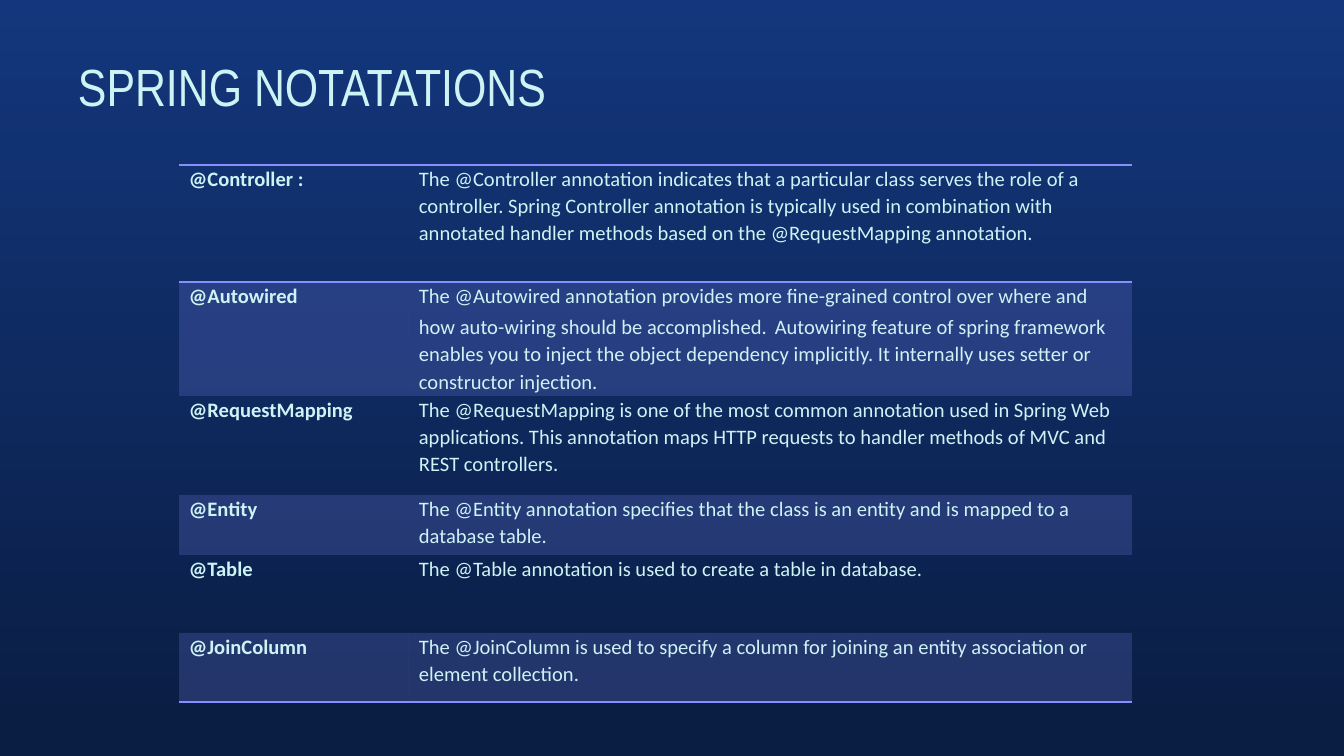
from dataclasses import dataclass
from lxml.etree import SubElement
from pptx import Presentation
from pptx.dml.color import RGBColor
from pptx.enum.text import MSO_ANCHOR, PP_ALIGN
from pptx.oxml.ns import qn
from pptx.util import Emu, Pt

TITLE = "SPRING NOTATATIONS"
ANNOTATIONS = [
    ("@Controller :", ["The @Controller annotation indicates that a particular class serves the role of a controller. Spring Controller annotation is typically used in combination with annotated handler methods based on the @RequestMapping annotation."]),
    ("@Autowired", ["The @Autowired annotation provides more fine-grained control over where and how auto-wiring should be accomplished.", "Autowiring feature of spring framework enables you to inject the object dependency implicitly. It internally uses setter or constructor injection."]),
    ("@RequestMapping", ["The @RequestMapping is one of the most common annotation used in Spring Web applications. This annotation maps HTTP requests to handler methods of MVC and REST controllers."]),
    ("@Entity", ["The @Entity annotation specifies that the class is an entity and is mapped to a database table."]),
    ("@Table", ["The @Table annotation is used to create a table in database."]),
    ("@JoinColumn", ["The @JoinColumn is used to specify a column for joining an entity association or element collection."]),
]
ROW_HEIGHTS = [117, 114, 99, 60, 78, 69]
COLUMN_WIDTHS = [230, 723]


@dataclass(frozen=True)
class Theme:
    text: str = "CEF3F5"
    accent: str = "878FFF"
    gradient: tuple = ("13367C", "0A1D42")
    band_opacity: int = 20
    title_font: str = "Arial Narrow"
    body_font: str = "Calibri"
    gap_font: str = "Arial"
    title_size: int = 28
    body_size: int = 11
    gap_size: int = 14
    plain_table: str = "{2D5ABB26-0587-4C30-8999-92F81FD0307C}"


THEME = Theme()


def px(length):
    return Emu(round(length * 914400 / 134.4))


def add_text(para, text, font=THEME.body_font, size=THEME.body_size, bold=False):
    span = para.add_run()
    span.text = text
    span.font.name = font
    span.font.size = Pt(size)
    span.font.bold = bold
    span.font.color.rgb = RGBColor.from_string(THEME.text)


def add_solid_fill(parent, color, opacity=100):
    fill = SubElement(parent, qn("a:solidFill"))
    shade = SubElement(fill, qn("a:srgbClr"), val=color)
    if opacity < 100:
        SubElement(shade, qn("a:alpha"), val=str(opacity * 1000))


def format_cell(cell, edges, banded):
    cell.margin_left = cell.margin_right = px(10)
    cell.margin_top = cell.margin_bottom = 0
    cell.vertical_anchor = MSO_ANCHOR.TOP
    properties = cell._tc.get_or_add_tcPr()
    for edge in edges:
        line = SubElement(properties, qn(f"a:{edge}"), w=str(Pt(1)))
        add_solid_fill(line, THEME.accent)
    if banded:
        add_solid_fill(properties, THEME.accent, THEME.band_opacity)
    else:
        cell.fill.background()
    para = cell.text_frame.paragraphs[0]
    para.line_spacing = 1.07
    para.space_after = Pt(8)
    return para


def add_title(page):
    box = page.shapes.title
    box.left, box.top, box.width, box.height = map(px, (65, 43, 1133, 85))
    frame = box.text_frame
    frame.margin_left = frame.margin_right = px(13)
    frame.margin_top = frame.margin_bottom = px(13)
    frame.vertical_anchor = MSO_ANCHOR.MIDDLE
    para = frame.paragraphs[0]
    para.alignment = PP_ALIGN.LEFT
    add_text(para, TITLE, font=THEME.title_font, size=THEME.title_size)


def add_annotation_table(page):
    frame = page.shapes.add_table(
        len(ROW_HEIGHTS), len(COLUMN_WIDTHS), px(179), px(165),
        px(sum(COLUMN_WIDTHS)), px(sum(ROW_HEIGHTS)),
    )
    table = frame.table
    table.first_row = table.horz_banding = False
    table._tbl.tblPr.find(qn("a:tableStyleId")).text = THEME.plain_table
    for column, width in zip(table.columns, COLUMN_WIDTHS):
        column.width = px(width)
    last = len(ANNOTATIONS) - 1
    for index, (name, sentences) in enumerate(ANNOTATIONS):
        table.rows[index].height = px(ROW_HEIGHTS[index])
        edges = {0: ["lnT", "lnB"], last: ["lnB"]}.get(index, [])
        name_para, detail_para = [
            format_cell(cell, edges, index % 2 == 1) for cell in table.rows[index].cells
        ]
        add_text(name_para, name, bold=True)
        for position, sentence in enumerate(sentences):
            if position:
                add_text(detail_para, " ", font=THEME.gap_font, size=THEME.gap_size)
            add_text(detail_para, sentence)


def main():
    deck = Presentation()
    deck.slide_width, deck.slide_height = px(1344), px(756)
    page = deck.slides.add_slide(deck.slide_layouts[5])
    backdrop = page.background.fill
    backdrop.gradient()
    backdrop.gradient_angle = 270
    for stop, color, position in zip(backdrop.gradient_stops, THEME.gradient, (0, 1)):
        stop.color.rgb = RGBColor.from_string(color)
        stop.position = position
    add_title(page)
    add_annotation_table(page)
    deck.save("out.pptx")


if __name__ == "__main__":
    main()
